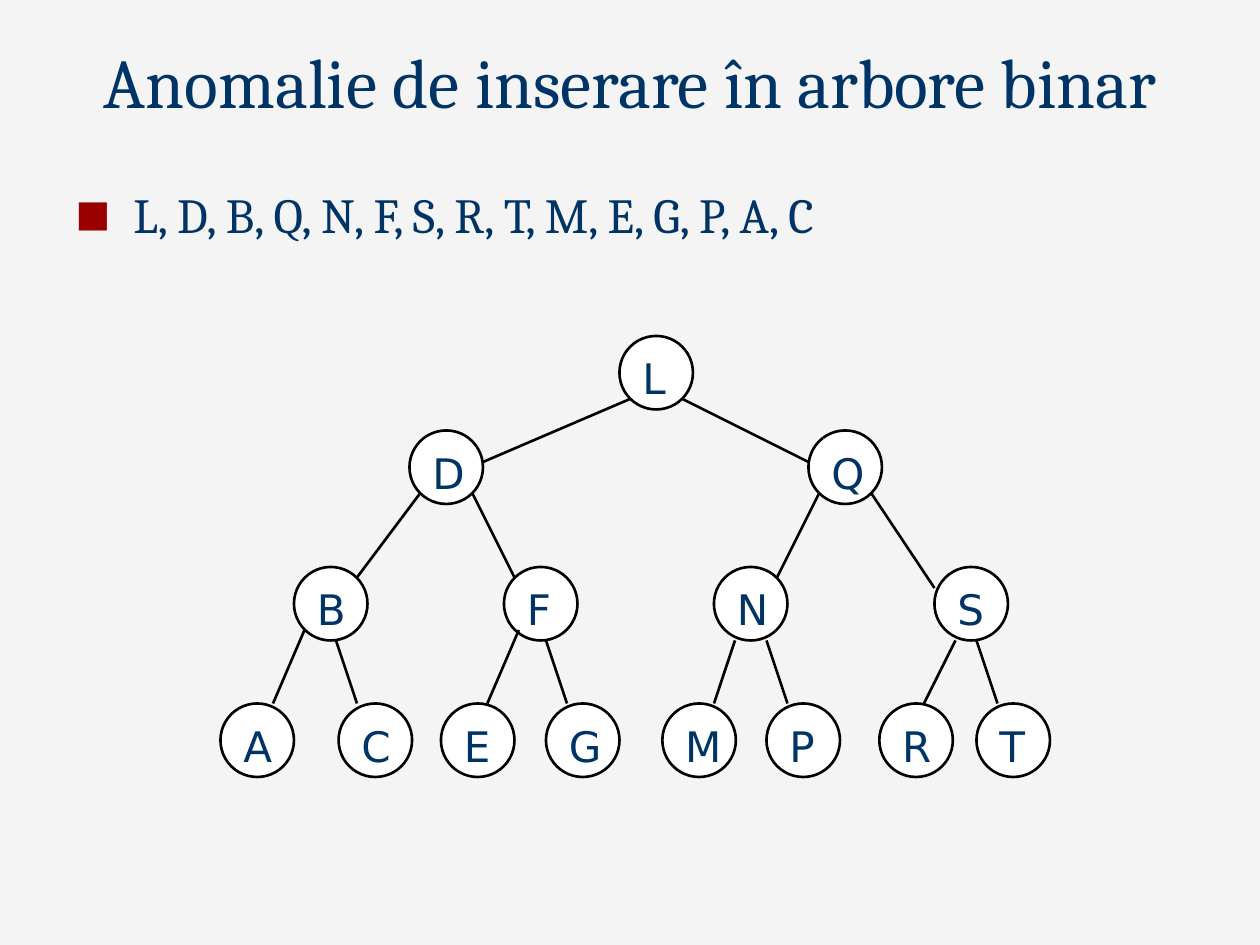
from lxml.etree import SubElement
from pptx import Presentation
from pptx.dml.color import RGBColor
from pptx.enum.shapes import MSO_CONNECTOR, MSO_SHAPE
from pptx.enum.text import MSO_ANCHOR, MSO_AUTO_SIZE, PP_ALIGN
from pptx.oxml.ns import qn
from pptx.util import Pt

NAVY = RGBColor(0x00, 0x33, 0x66)
RED = RGBColor(0x9A, 0x00, 0x00)
BLACK = RGBColor(0x00, 0x00, 0x00)
WHITE = RGBColor(0xFF, 0xFF, 0xFF)
PALE_GREY = RGBColor(0xF4, 0xF4, 0xF4)

NODE_SIZE = 42
LABEL_INSET = 6
LABEL_HEIGHT = 36
LABEL_WIDTHS = {"A": 24, "D": 36, "M": 36}
LINE_WIDTH = Pt(1.5)

TITLE_FORMAT = {"name": "Cambria", "size": Pt(40)}
KEYS_FORMAT = {"name": "Cambria", "size": Pt(28)}
LABEL_FORMAT = {"name": "DejaVu Sans", "size": Pt(24)}

# Each level: top of its nodes, then key, left and the edge to the parent
LEVELS = [
    (192, [("L", 354, None)]),
    (246, [("D", 234, (360, 228, 276, 264)),
           ("Q", 462, (390, 228, 462, 264))]),
    (324, [("B", 168, (240, 282, 204, 330)),
           ("F", 288, (270, 282, 294, 330)),
           ("N", 408, (444, 330, 468, 282)),
           ("S", 534, (498, 282, 534, 336))]),
    (402, [("A", 126, (156, 402, 174, 360)),
           ("C", 193.5, (204, 402, 192, 366)),
           ("E", 252, (278.5, 402, 296.5, 360)),
           ("G", 312, (324, 402, 312, 366)),
           ("M", 378.5, (408, 402, 420, 366)),
           ("P", 438, (450, 402, 438, 366)),
           ("R", 502.5, (528, 402, 546, 366)),
           ("T", 558, (570, 402, 558, 366))]),
]


def write_text(shape, text, font_format):
    """Put one formatted paragraph in a shape and return the paragraph."""
    paragraph = shape.text_frame.paragraphs[0]
    run = paragraph.add_run()
    run.text = text
    for attribute, value in font_format.items():
        setattr(run.font, attribute, value)
    run.font.color.rgb = NAVY
    return paragraph


def place(shape, left, top, width, height):
    """Move and size a shape, with lengths in points."""
    shape.left, shape.top = Pt(left), Pt(top)
    shape.width, shape.height = Pt(width), Pt(height)


presentation = Presentation()
presentation.slide_width, presentation.slide_height = Pt(720), Pt(540)
slide = presentation.slides.add_slide(presentation.slide_layouts[1])
slide.background.fill.solid()
slide.background.fill.fore_color.rgb = PALE_GREY

# Title and insertion order
title, insertion_order = slide.placeholders
place(title, 0, 18, 720, 55.5)
title.text_frame.vertical_anchor = MSO_ANCHOR.BOTTOM
title.text_frame.auto_size = MSO_AUTO_SIZE.NONE
heading = write_text(title, "Anomalie de inserare în arbore binar", TITLE_FORMAT)
heading.alignment = PP_ALIGN.CENTER

place(insertion_order, 36, 102, 588, 48)
insertion_order.text_frame.auto_size = MSO_AUTO_SIZE.NONE
keys = write_text(insertion_order, "L, D, B, Q, N, F, S, R, T, M, E, G, P, A, C", KEYS_FORMAT)
key_properties = keys._p.get_or_add_pPr()
key_properties.set("marL", str(Pt(33)))
key_properties.set("indent", str(-Pt(33)))
bullet_color = SubElement(key_properties, qn("a:buClr"))
SubElement(bullet_color, qn("a:srgbClr"), val=str(RED))
SubElement(key_properties, qn("a:buSzPct"), val="75000")
SubElement(key_properties, qn("a:buFont"), typeface="DejaVu Sans")
SubElement(key_properties, qn("a:buChar"), char="■")

# Binary tree, one group per node
for top, nodes in LEVELS:
    for key, left, edge_ends in nodes:
        group = slide.shapes.add_group_shape()
        node = group.shapes.add_shape(
            MSO_SHAPE.OVAL, Pt(left), Pt(top), Pt(NODE_SIZE), Pt(NODE_SIZE))
        node.shadow.inherit = False
        node.fill.solid()
        node.fill.fore_color.rgb = WHITE
        node.line.color.rgb = BLACK
        node.line.width = LINE_WIDTH

        label = group.shapes.add_textbox(
            Pt(left + LABEL_INSET), Pt(top + LABEL_INSET),
            Pt(LABEL_WIDTHS.get(key, 30)), Pt(LABEL_HEIGHT))
        label.text_frame.word_wrap = True
        label.text_frame.auto_size = MSO_AUTO_SIZE.SHAPE_TO_FIT_TEXT
        write_text(label, key, LABEL_FORMAT)

        if edge_ends:
            edge = group.shapes.add_connector(
                MSO_CONNECTOR.STRAIGHT, *[Pt(end) for end in edge_ends])
            edge.line.color.rgb = BLACK
            edge.line.width = LINE_WIDTH
            SubElement(edge._element.spPr, qn("a:effectLst"))

presentation.save("out.pptx")
